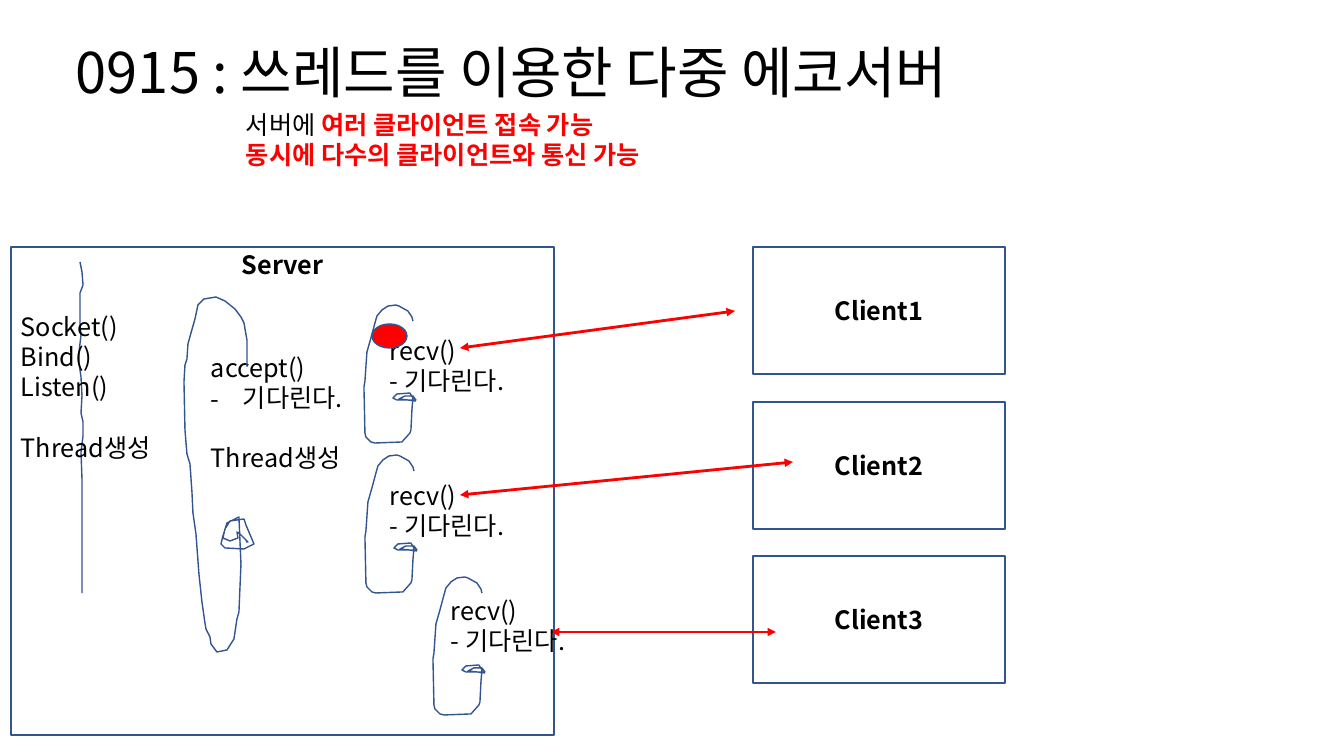
import pptx
import pptx.dml.color
import pptx.enum.shapes
import pptx.enum.text
import pptx.oxml.ns
import pptx.util
from lxml import etree

EMU_PER_PIXEL = 914400 / 100.8
BLACK, RED, NAVY = "000000", "FF0000", "325491"
FONT = "Noto Sans CJK KR"
LINE_GAP = 21.6


def px(length):
    """Turn pixels into EMU."""
    return pptx.util.Emu(round(length * EMU_PER_PIXEL))


def rgb(value):
    """Turn a hex string into a colour."""
    return pptx.dml.color.RGBColor.from_string(value)


def add_xml(parent, tag, **attributes):
    """Append a DrawingML element to a parent."""
    return etree.SubElement(parent, pptx.oxml.ns.qn(tag), attributes)


class Board:
    """Holds the current slide and its drawing style."""

    def __init__(self, slide):
        """Remember the slide to draw on."""
        self.shapes = slide.shapes

    def paragraph(self, frame, text, size=18, color=BLACK, bold=False, gap=0):
        """Write one paragraph, reusing the first one while it is empty."""
        first = frame.paragraphs[0]
        paragraph = frame.add_paragraph() if first.runs else first
        paragraph.add_run().text = text
        font = paragraph.font
        font.size, font.bold, font.name = pptx.util.Pt(size), bold, FONT
        font.color.rgb = rgb(color)
        for latin in paragraph._p.iter(pptx.oxml.ns.qn("a:latin")):
            latin.addnext(etree.Element(pptx.oxml.ns.qn("a:ea"), typeface=FONT))
        if gap:
            paragraph.space_before = pptx.util.Pt(gap)
        return paragraph

    def dashed(self, paragraph, indent):
        """Give a paragraph a hanging dash bullet."""
        properties = paragraph._p.get_or_add_pPr()
        properties.set("marL", str(px(indent)))
        properties.set("indent", str(-px(indent)))
        properties.insert(0, etree.Element(pptx.oxml.ns.qn("a:buFont"), typeface=FONT))
        properties.insert(1, etree.Element(pptx.oxml.ns.qn("a:buChar"), char="-"))

    def label(self, left, top, width, height, wrap=False):
        """Add an empty text box that grows with its text, and return its frame."""
        frame = self.shapes.add_textbox(*map(px, (left, top, width, height))).text_frame
        frame.word_wrap = wrap
        frame.auto_size = pptx.enum.text.MSO_AUTO_SIZE.SHAPE_TO_FIT_TEXT
        return frame

    def dress(self, shape, fill=None):
        """Give a shape the navy outline and an optional fill."""
        shape.shadow.inherit = False
        shape.line.color.rgb = rgb(NAVY)
        shape.line.width = pptx.util.Pt(1)
        if fill:
            shape.fill.solid()
            shape.fill.fore_color.rgb = rgb(fill)
        else:
            shape.fill.background()
        return shape

    def preset(self, kind, left, top, width, height, fill=None):
        """Add an outlined preset shape."""
        return self.dress(self.shapes.add_shape(kind, *map(px, (left, top, width, height))), fill)

    def box(self, left, top, width, height, title, anchor):
        """Add a rectangle with a centred bold title."""
        rectangle = pptx.enum.shapes.MSO_SHAPE.RECTANGLE
        frame = self.preset(rectangle, left, top, width, height).text_frame
        frame.vertical_anchor = anchor
        frame.margin_top = frame.margin_bottom = px(2)
        heading = self.paragraph(frame, title, bold=True)
        heading.alignment = pptx.enum.text.PP_ALIGN.CENTER

    def stroke(self, points, left=0, top=0):
        """Draw an open hand-drawn stroke."""
        spots = [(px(left + x), px(top + y)) for x, y in points]
        builder = self.shapes.build_freeform(*spots[0])
        builder.add_line_segments(spots[1:], close=False)
        self.dress(builder.convert_to_shape())

    def link(self, x1, y1, x2, y2):
        """Draw a red arrow with a head at both ends."""
        straight = pptx.enum.shapes.MSO_CONNECTOR.STRAIGHT
        arrow = self.shapes.add_connector(straight, *map(px, (x1, y1, x2, y2)))
        arrow.line.color.rgb = rgb(RED)
        arrow.line.width = pptx.util.Pt(2)
        outline = arrow.line._get_or_add_ln()
        add_xml(outline, "a:headEnd", type="triangle")
        add_xml(outline, "a:tailEnd", type="triangle")
        add_xml(arrow._element.spPr, "a:effectLst")


MAIN_FLOW = [
    (80, 262), (82, 272), (83, 285), (80, 293), (80, 325), (81, 335), (79, 352),
    (79, 363), (81, 377), (82, 396), (81, 413), (83, 422), (83, 436), (81, 452),
    (82, 479), (82, 507), (82, 563), (82, 593)]

ACCEPT_LOOP = [
    (247, 367), (247, 340), (244, 323), (241, 317), (235, 309), (225, 301), (216, 297),
    (204, 299), (198, 305), (195, 319), (191, 333), (188, 344), (187, 359), (185, 365),
    (184, 382), (185, 430), (187, 454), (190, 464), (192, 492), (193, 513), (196, 534),
    (199, 574), (202, 602), (205, 623), (206, 629), (210, 637), (211, 644), (217, 652),
    (227, 650), (234, 639), (237, 619), (239, 612), (241, 564), (239, 517),
    (227, 523), (223, 536), (221, 544), (225, 548), (244, 549), (254, 544), (246, 525),
    (244, 519), (230, 521), (225, 529), (223, 538), (230, 541), (238, 538), (237, 532),
    (240, 534), (248, 542), (246, 542)]

RECV_LOOP = [
    (49, 16), (48, 12), (44, 6), (35, 1), (32, 0), (24, 1), (18, 5), (13, 11), (11, 18),
    (7, 33), (3, 47), (1, 76), (0, 82), (1, 128), (2, 132), (7, 137), (11, 138),
    (38, 137), (46, 128), (47, 125), (48, 105), (49, 93), (46, 88), (33, 89), (29, 93),
    (33, 95), (52, 95), (49, 91), (41, 91), (35, 94), (44, 95), (52, 96)]

# Loop left and top, text left and top, arrow ends
WORKERS = [
    ((364, 305), (380, 330), (460, 348, 735, 311)),
    ((365, 455), (380, 475), (460, 495, 793, 462)),
    ((433, 577), (441, 590), (551, 632, 776, 632))]

presentation = pptx.Presentation()
presentation.slide_width, presentation.slide_height = px(1344), px(756)
board = Board(presentation.slides.add_slide(presentation.slide_layouts[6]))

board.paragraph(board.label(66, 33, 992, 78), "0915 : 쓰레드를 이용한 다중 에코서버", size=40)

summary = board.label(236, 104, 473, 72)
access = board.paragraph(summary, "서버에 ")
clients = access.add_run()
clients.text = "여러 클라이언트 접속 가능"
clients.font.bold = True
clients.font.color.rgb = rgb(RED)
board.paragraph(summary, "동시에 다수의 클라이언트와 통신 가능", color=RED, bold=True)

anchors = pptx.enum.text.MSO_ANCHOR
board.box(11, 247, 543, 488, "Server", anchors.TOP)
for index, top in enumerate((247, 402, 556), start=1):
    board.box(753, top, 252, 127, f"Client{index}", anchors.MIDDLE)

accepting = board.label(201, 347, 159, 132)
board.paragraph(accepting, "accept()")
board.dashed(board.paragraph(accepting, "기다린다."), 32)
board.paragraph(accepting, "Thread생성", gap=LINE_GAP)

board.stroke(MAIN_FLOW)
board.stroke(ACCEPT_LOOP)

for loop, caption, ends in WORKERS:
    board.link(*ends)
    board.stroke(RECV_LOOP, *loop)
    receiving = board.label(*caption, 147, 72)
    board.paragraph(receiving, "recv()")
    board.paragraph(receiving, "- 기다린다.")

setup = board.label(11, 306, 150, 163, wrap=True)
for call in ("Socket()", "Bind()", "Listen()"):
    board.paragraph(setup, call)
board.paragraph(setup, "Thread생성", gap=LINE_GAP)

board.preset(pptx.enum.shapes.MSO_SHAPE.OVAL, 372, 324, 35, 24, RED)

presentation.save("out.pptx")
